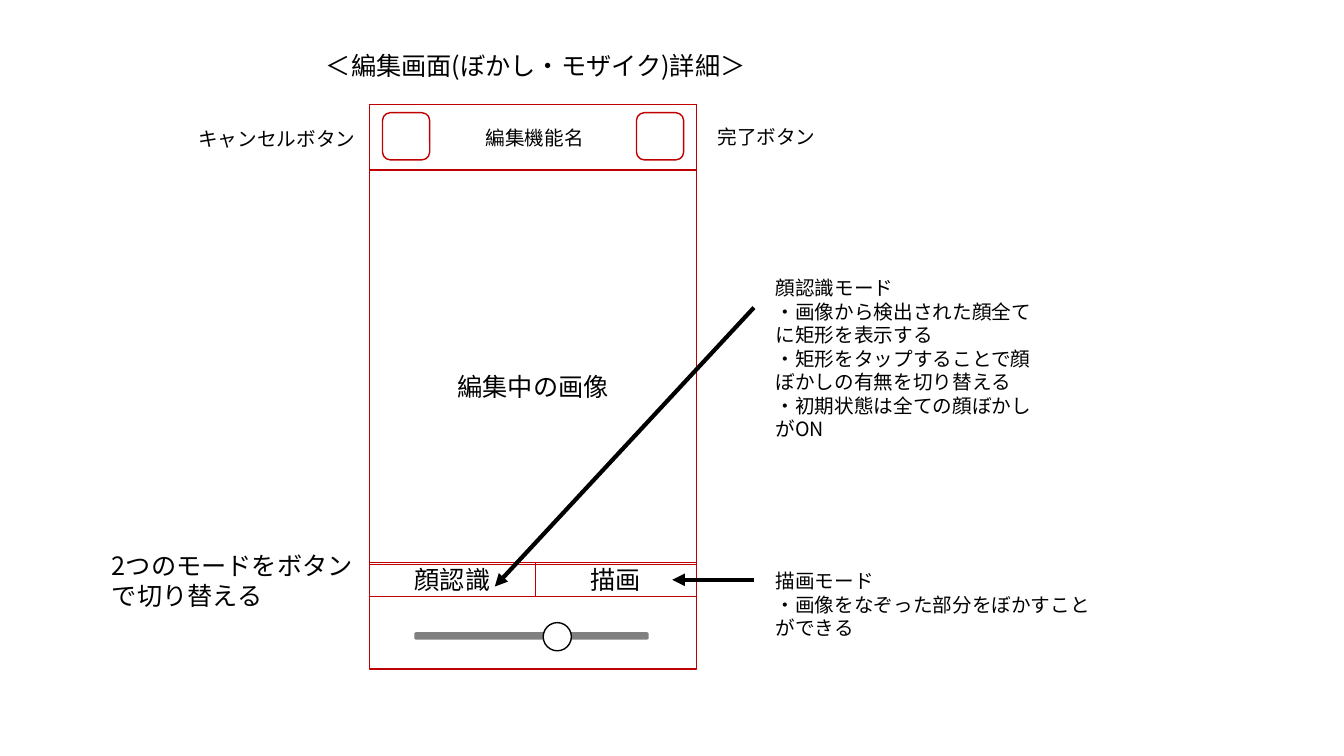
from lxml.etree import SubElement
from pptx import Presentation
from pptx.dml.color import RGBColor
from pptx.enum.shapes import MSO_CONNECTOR as Connector, MSO_SHAPE as Shape
from pptx.enum.text import MSO_ANCHOR as Anchor, PP_ALIGN as Align
from pptx.oxml.ns import qn
from pptx.util import Cm, Pt

FONT = "Noto Sans CJK JP"
RED, BLACK, WHITE, GRAY = "C00000", "000000", "FFFFFF", "808080"


def color(hex_text):
    """Turn a hex string into a colour."""
    return RGBColor.from_string(hex_text)


def lengths(box):
    """Turn centimetre numbers into lengths."""
    return [Cm(number) for number in box]


def write(frame, lines, size, align=Align.LEFT, anchor=Anchor.TOP, wrap=True):
    """Fill a text frame with one paragraph per line."""
    frame.word_wrap = wrap
    frame.vertical_anchor = anchor
    frame.text = "\n".join(lines)
    for para in frame.paragraphs:
        para.alignment = align
        font = para.font
        font.size = Pt(size)
        font.name = FONT
        font.color.rgb = color(BLACK)
        SubElement(font._element, qn("a:ea"), typeface=FONT)


def add_outline(page, kind, box, line=RED, fill=None, text=None):
    """Draw a thin-lined shape, with centred text if given."""
    shape = page.shapes.add_shape(kind, *lengths(box))
    shape.shadow.inherit = False
    shape.line.color.rgb = color(line)
    shape.line.width = Pt(1)
    if fill:
        shape.fill.solid()
        shape.fill.fore_color.rgb = color(fill)
    else:
        shape.fill.background()
    if text:
        write(shape.text_frame, [text], 18, Align.CENTER, Anchor.MIDDLE)


def add_label(page, box, lines, size=14, wrap=True):
    """Place a text box."""
    label = page.shapes.add_textbox(*lengths(box))
    write(label.text_frame, lines, size, wrap=wrap)


def add_arrow(page, start, end):
    """Draw a thick black arrow."""
    arrow = page.shapes.add_connector(Connector.STRAIGHT, *lengths(start + end))
    arrow.line.color.rgb = color(BLACK)
    arrow.line.width = Pt(3)
    SubElement(arrow.line._get_or_add_ln(), qn("a:tailEnd"), type="triangle")
    SubElement(arrow._element.spPr, qn("a:effectLst"))


def add_title(page, box):
    """Place the slide title."""
    title = page.shapes.title
    title.left, title.top, title.width, title.height = lengths(box)
    write(title.text_frame, ["＜編集画面(ぼかし・モザイク)詳細＞"], 18,
          Align.CENTER, Anchor.MIDDLE, wrap=False)


def add_header(page, left, top, width, height):
    """Draw the top bar with its two buttons and name."""
    add_outline(page, Shape.RECTANGLE, (left, top, width, height), fill=WHITE)
    side, margin = 1.19, 0.32
    for button_left in (left + margin, left + width - margin - side):
        add_outline(page, Shape.ROUNDED_RECTANGLE,
                    (button_left, top + 0.2, side, side))
    add_label(page, (left + 2.67, top + 0.4, 3, 0.86), ["編集機能名"], wrap=False)


def add_slider(page, left, top, width, height):
    """Draw the strength slider panel."""
    add_outline(page, Shape.RECTANGLE, (left, top, width, height), fill=WHITE)
    add_outline(page, Shape.ROUNDED_RECTANGLE,
                (left + 1.14, top + 1.73, 5.87, 0.15), GRAY, GRAY)
    add_outline(page, Shape.OVAL, (left + 4.37, top + 1.47, 0.71, 0.71), BLACK, WHITE)


def add_tabs(page, left, top, width, height):
    """Draw the two mode tabs."""
    split = 4.17
    add_outline(page, Shape.RECTANGLE,
                (left + split, top, width - split, height), text="描画")
    add_outline(page, Shape.RECTANGLE, (left, top, split, height), text="顔認識")


def add_phone(page, left, top, width, height):
    """Draw the editing screen."""
    add_outline(page, Shape.RECTANGLE, (left, top, width, height),
                fill=WHITE, text="編集中の画像")
    add_header(page, left, top, width, 1.65)
    add_slider(page, left, top + 11.58, width, 2.64)
    add_tabs(page, left, top + 11.53, width, 0.86)


def add_notes_around(page, left, top, width):
    """Place the explanations and arrows beside the screen."""
    right = left + width
    add_label(page, (left - 4.57, top + 0.43, 8.69, 1.45), ["キャンセルボタン"])
    add_label(page, (right + 0.28, top + 0.38, 3.89, 0.86), ["完了ボタン"])
    add_label(page, (left - 6.75, top + 11.1, 6.76, 1.8),
              ["2つのモードをボタンで切り替える"], 18)
    add_label(page, (right + 1.75, top + 11.58, 8.64, 2.06),
              ["描画モード", "・画像をなぞった部分をぼかすことができる"])
    add_label(page, (right + 1.75, top + 4.19, 7.11, 4.44),
              ["顔認識モード",
               "・画像から検出された顔全てに矩形を表示する",
               "・矩形をタップすることで顔ぼかしの有無を切り替える",
               "・初期状態は全ての顔ぼかしがON"])
    add_arrow(page, (right + 1.45, top + 11.97), (right - 0.61, top + 11.97))
    add_arrow(page, (right + 1.45, top + 5.11), (right - 5.08, top + 12.14))


def main():
    """Build the slide and save it."""
    deck = Presentation()
    deck.slide_width, deck.slide_height = Cm(33.87), Cm(19.05)
    page = deck.slides.add_slide(deck.slide_layouts[5])
    left, top, width, height = 9.32, 2.64, 8.23, 14.2
    add_title(page, (7.57, 1.04, 11.86, 1.22))
    add_phone(page, left, top, width, height)
    add_notes_around(page, left, top, width)
    deck.save("out.pptx")


if __name__ == "__main__":
    main()
